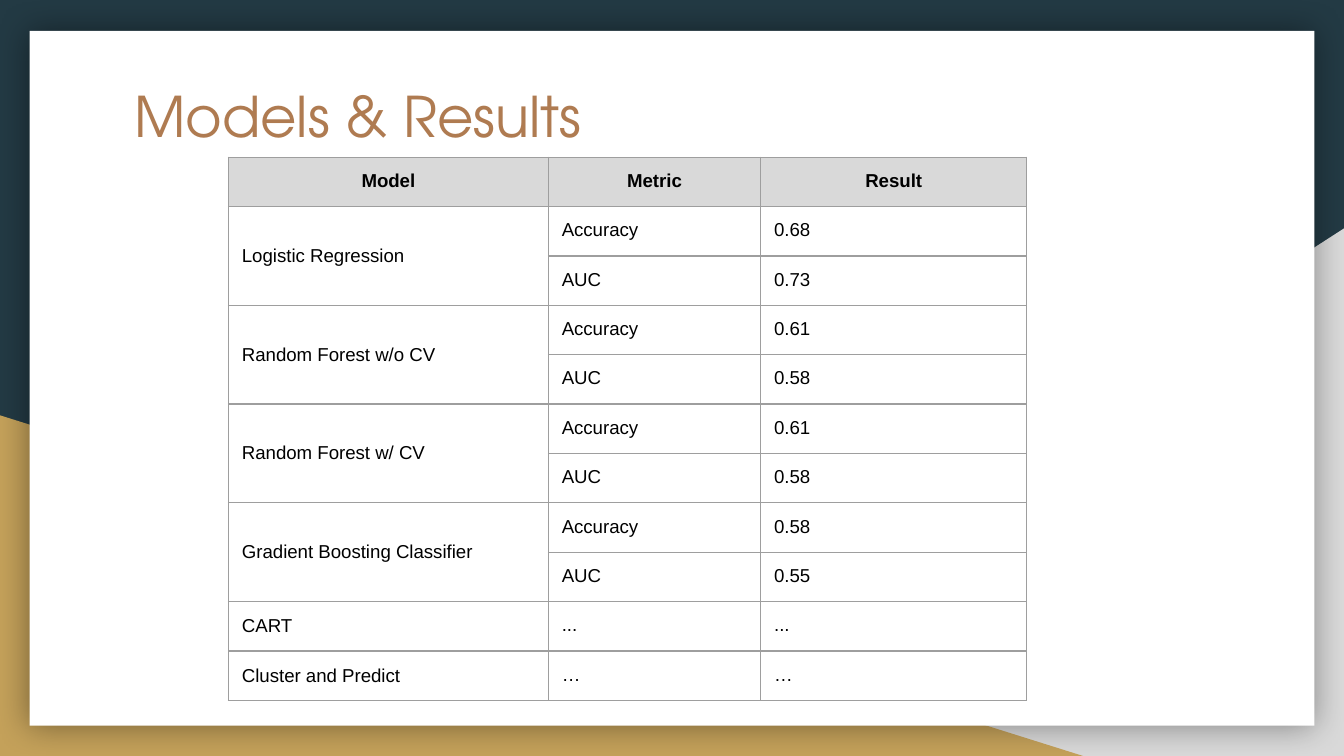
from lxml import etree
from pptx import Presentation
from pptx.dml.color import RGBColor
from pptx.enum.shapes import MSO_SHAPE
from pptx.enum.text import MSO_ANCHOR, PP_ALIGN
from pptx.oxml.ns import qn
from pptx.util import Inches, Pt

RECTANGLE = MSO_SHAPE.RECTANGLE
TRIANGLE = MSO_SHAPE.RIGHT_TRIANGLE
CENTER, LEFT = PP_ALIGN.CENTER, PP_ALIGN.LEFT
TOP, MIDDLE = MSO_ANCHOR.TOP, MSO_ANCHOR.MIDDLE

NAVY = RGBColor(0x23, 0x3A, 0x44)
GRAY = RGBColor(0xD9, 0xD9, 0xD9)
GOLD = RGBColor(0xC4, 0xA1, 0x5A)
WHITE = RGBColor(0xFF, 0xFF, 0xFF)
BLACK = RGBColor(0, 0, 0)
BROWN = RGBColor(0xAF, 0x7B, 0x51)
BORDER = RGBColor(0x9E, 0x9E, 0x9E)

SLIDE_WIDTH = 10
SLIDE_HEIGHT = SLIDE_WIDTH * 9 / 16
INSET = Inches(0.1)
MARGINS = {f"margin_{side}": INSET for side in ("left", "top", "right", "bottom")}
TITLE_FONT = {"name": "TeX Gyre Adventor", "size": Pt(30)}
TABLE_FONT = {"name": "Arial", "size": Pt(10)}

HEADERS = ("Model", "Metric", "Result")
COLUMN_WIDTHS = (2.38, 1.58, 1.98)
ROW_HEIGHT = 0.35
FRAME_SIZE = {"width": Inches(3.28), "height": Inches(3.28)}
MODELS = (
    ("Logistic Regression", (("Accuracy", "0.68"), ("AUC", "0.73"))),
    ("Random Forest w/o CV", (("Accuracy", "0.61"), ("AUC", "0.58"))),
    ("Random Forest w/ CV", (("Accuracy", "0.61"), ("AUC", "0.58"))),
    ("Gradient Boosting Classifier", (("Accuracy", "0.58"), ("AUC", "0.55"))),
    ("CART", (("...", "..."),)),
    ("Cluster and Predict", (("…", "…"),)),
)


def set_attributes(target, values):
    for name, value in values.items():
        setattr(target, name, value)


def write_text(text_frame, text, font, color, alignment=LEFT):
    paragraph = text_frame.paragraphs[0]
    paragraph.alignment = alignment
    run = paragraph.add_run()
    run.text = text
    set_attributes(run.font, font)
    run.font.color.rgb = color


def add_panel(slide, kind, left, top, width, height, color):
    shape = slide.shapes.add_shape(
        kind, Inches(left), Inches(top), Inches(width), Inches(height))
    shape.fill.solid()
    shape.fill.fore_color.rgb = color
    shape.line.fill.background()
    shape.shadow.inherit = False
    return shape


def add_soft_shadow(shape):
    effects = shape._element.spPr.find(qn("a:effectLst"))
    shadow = etree.SubElement(effects, qn("a:outerShdw"), blurRad=str(Pt(18)),
                              dist="0", dir="0", algn="ctr", rotWithShape="0")
    color = etree.SubElement(shadow, qn("a:srgbClr"), val=str(BLACK))
    etree.SubElement(color, qn("a:alpha"), val="40000")


def add_background(slide):
    slide.background.fill.solid()
    slide.background.fill.fore_color.rgb = NAVY
    gray_corner = add_panel(slide, TRIANGLE, 3.92, 1.7, 6.08, SLIDE_HEIGHT - 1.7, GRAY)
    gray_corner._element.spPr.xfrm.set("flipH", "1")
    add_panel(slide, TRIANGLE, 0, 3.09, 8.06, SLIDE_HEIGHT - 3.09, GOLD)
    add_soft_shadow(add_panel(slide, RECTANGLE, 0.22, 0.23, 9.56, 5.17, WHITE))


def add_title(slide, text):
    box = slide.shapes.add_textbox(Inches(0.9), Inches(0.51), Inches(8.21), Inches(1.04))
    set_attributes(box.text_frame, {"word_wrap": True, "vertical_anchor": TOP, **MARGINS})
    write_text(box.text_frame, text, TITLE_FONT, BROWN)


def set_borders(cell):
    """Draw all four sides; the lines go before the fill in the cell properties."""
    properties = cell._tc.get_or_add_tcPr()
    for index, side in enumerate(("lnL", "lnR", "lnT", "lnB")):
        line = etree.Element(qn(f"a:{side}"), w=str(Pt(0.75)))
        fill = etree.SubElement(line, qn("a:solidFill"))
        etree.SubElement(fill, qn("a:srgbClr"), val=str(BORDER))
        properties.insert(index, line)


def shrink_empty_cell(cell):
    """Keep a merged-away cell from forcing its row taller."""
    paragraph = cell.text_frame.paragraphs[0]._p
    etree.SubElement(paragraph, qn("a:endParaRPr"),
                     sz=str(int(TABLE_FONT["size"].pt * 100)))


def fill_cell(cell, text, anchor=TOP, header=False):
    cell.vertical_anchor = anchor
    write_text(cell.text_frame, text, {**TABLE_FONT, "bold": header}, BLACK,
               CENTER if header else LEFT)
    if header:
        cell.fill.solid()
        cell.fill.fore_color.rgb = GRAY


def add_results_table(slide):
    row_count = 1 + sum(len(results) for _, results in MODELS)
    frame = slide.shapes.add_table(row_count, len(HEADERS), Inches(1.7), Inches(1.17),
                                   *FRAME_SIZE.values())
    table = frame.table
    for column, width in zip(table.columns, COLUMN_WIDTHS):
        column.width = Inches(width)
    for row in table.rows:
        row.height = Inches(ROW_HEIGHT)
    set_attributes(frame, FRAME_SIZE)
    for cell in table.iter_cells():
        set_attributes(cell, MARGINS)
        cell.fill.background()
        set_borders(cell)

    for column, header in enumerate(HEADERS):
        fill_cell(table.cell(0, column), header, header=True)
    first_row = 1
    for model, results in MODELS:
        model_cell = table.cell(first_row, 0)
        if len(results) > 1:
            model_cell.merge(table.cell(first_row + len(results) - 1, 0))
        fill_cell(model_cell, model, MIDDLE)
        for row, result in enumerate(results, first_row):
            if row > first_row:
                shrink_empty_cell(table.cell(row, 0))
            for column, text in enumerate(result, 1):
                fill_cell(table.cell(row, column), text)
        first_row += len(results)


def main():
    presentation = Presentation()
    presentation.slide_width = Inches(SLIDE_WIDTH)
    presentation.slide_height = Inches(SLIDE_HEIGHT)
    slide = presentation.slides.add_slide(presentation.slide_layouts[6])
    add_background(slide)
    add_title(slide, "Models & Results")
    add_results_table(slide)
    presentation.save("out.pptx")


if __name__ == "__main__":
    main()
